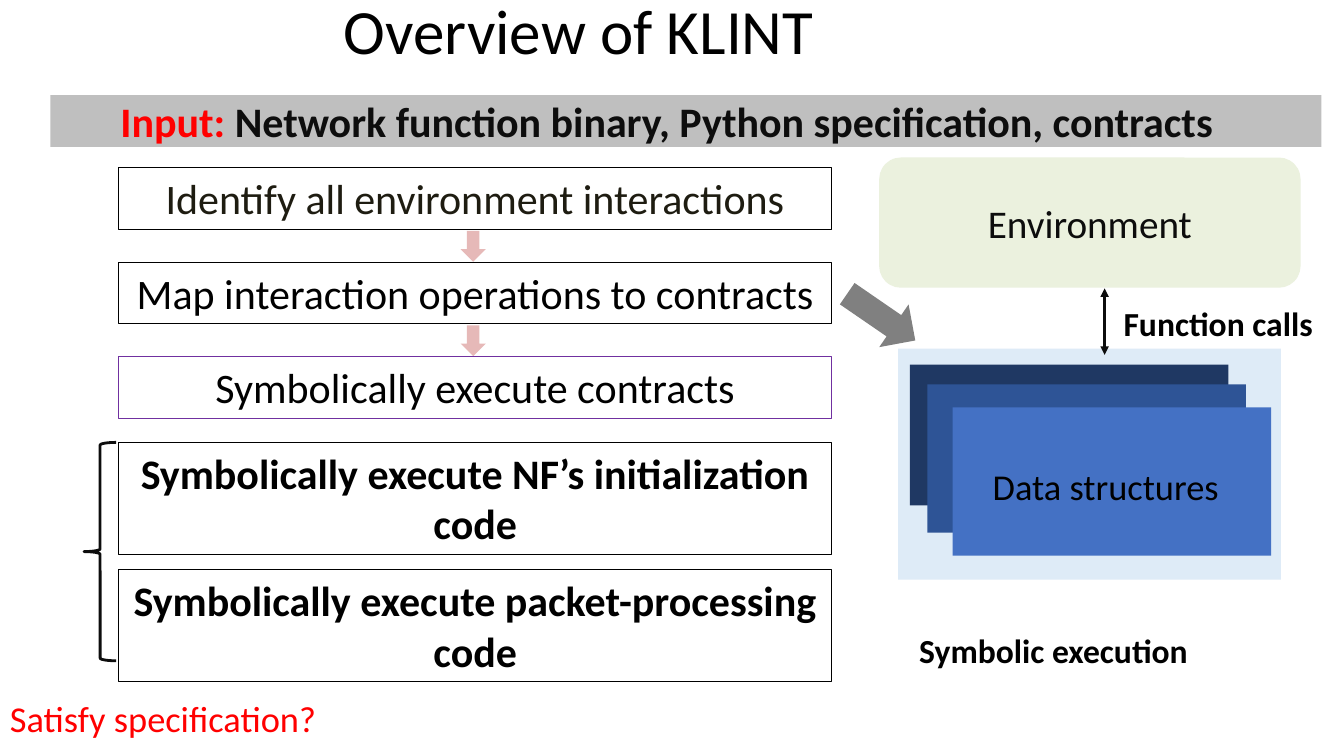
from pptx import Presentation
from pptx.dml.color import RGBColor
from pptx.enum.shapes import MSO_CONNECTOR as Connector, MSO_SHAPE as Shape
from pptx.enum.text import MSO_ANCHOR as Anchor, PP_ALIGN as Align
from pptx.oxml.ns import qn
from pptx.util import Pt
from lxml.etree import SubElement

BLACK, INK, RED = "000000", "0D0D0D", "FF0000"


def color(hex_code):
    return RGBColor.from_string(hex_code)


class SlideBuilder:
    """Holds the text style and the current slide; lengths are points."""
    font = "Calibri"

    def __init__(self, slide):
        self.shapes = slide.shapes

    def label(self, item, spans, size, bold=False, align=Align.LEFT,
              anchor=Anchor.TOP, inset=None):
        frame = item.text_frame
        frame.word_wrap = True
        frame.vertical_anchor = anchor
        if inset is not None:
            frame.margin_left = Pt(inset)
            frame.margin_right = frame.margin_top = frame.margin_bottom = 0
        para = frame.paragraphs[0]
        para.alignment = align
        para.font.name, para.font.size, para.font.bold = self.font, Pt(size), bold
        for text, hex_code in spans:
            span = para.add_run()
            span.text = text
            span.font.color.rgb = color(hex_code)

    def text(self, at, text, size, hex_code=BLACK, **style):
        box = self.shapes.add_textbox(*map(Pt, at))
        self.label(box, [(text, hex_code)], size, **style)

    def shape(self, kind, at, fill=None, line=None, weight=0.75):
        item = self.shapes.add_shape(kind, *map(Pt, at))
        item.shadow.inherit = False
        if fill:
            item.fill.solid()
            item.fill.fore_color.rgb = color(fill)
        else:
            item.fill.background()
        if line:
            item.line.color.rgb = color(line)
            item.line.width = Pt(weight)
        else:
            item.line.fill.background()
        return item

    def double_arrow(self, x, top, bottom, hex_code, weight):
        link = self.shapes.add_connector(Connector.STRAIGHT, Pt(x), Pt(top), Pt(x), Pt(bottom))
        link.line.color.rgb = color(hex_code)
        link.line.width = Pt(weight)
        properties = link._element.spPr
        outline = properties.find(qn("a:ln"))
        for end in ("a:headEnd", "a:tailEnd"):
            SubElement(outline, qn(end), type="triangle")
        SubElement(properties, qn("a:effectLst"))


deck = Presentation()
deck.slide_width, deck.slide_height = Pt(960), Pt(540)
page = SlideBuilder(deck.slides.add_slide(deck.slide_layouts[6]))

# Title and input bar
page.text((245.5, -6, 469, 73), "Overview of KLINT", 45, inset=0)
input_bar = page.shape(Shape.RECTANGLE, (36, 68, 908, 37), "BFBFBF")
page.label(input_bar, [
    ("Input: ", RED),
    ("Network function binary, Python specification, contracts", INK),
], 30, bold=True, inset=50)

# Data structures: panel with a stack of cards
for at, fill in [
    ((641.5, 249, 273.5, 165), "DEEBF7"),
    ((650, 260.5, 227.5, 100.5), "1F3863"),
    ((662.5, 274.5, 227.5, 106), "2E5496"),
    ((680.5, 291, 227.5, 106), "4471C4"),
]:
    page.shape(Shape.RECTANGLE, at, fill)
page.text((702, 328, 180, 37), "Data structures", 26)

# Environment and its calls
environment = page.shape(Shape.ROUNDED_RECTANGLE, (628, 112.5, 301, 93), "EBF1DE")
page.label(environment, [("Environment", INK)], 28, align=Align.CENTER, anchor=Anchor.MIDDLE)
page.double_arrow(789, 206, 253.5, INK, 2)
page.text((795.5, 212.5, 164.5, 36), "Function calls", 24, bold=True)

# Workflow steps
STEP_LEFT, STEP_WIDTH, STEP_TOP, STEP_PITCH, STEP_HEIGHT = 85, 509, 120, 67.4, 44
CODE_TOP, CODE_PITCH, CODE_HEIGHT = 316, 91, 80
steps = [
    ("Identify all environment interactions", "1E1C11", BLACK),
    ("Map interaction operations to contracts", BLACK, BLACK),
    ("Symbolically execute contracts", BLACK, "7030A0"),
]
for index, (text, ink, border) in enumerate(steps):
    top = STEP_TOP + index * STEP_PITCH
    step = page.shape(Shape.RECTANGLE, (STEP_LEFT, top, STEP_WIDTH, STEP_HEIGHT), line=border)
    page.label(step, [(text, ink)], 30, align=Align.CENTER)
    if index < len(steps) - 1:
        page.shape(Shape.DOWN_ARROW, (329, top + STEP_HEIGHT + 1, 18, 22), "E6B9B8")

# Code execution steps, joined by a brace
for index, part in enumerate(("NF’s initialization", "packet-processing")):
    top = CODE_TOP + index * CODE_PITCH
    step = page.shape(Shape.RECTANGLE, (STEP_LEFT, top, STEP_WIDTH, CODE_HEIGHT), line=BLACK)
    page.label(step, [(f"Symbolically execute {part} code", BLACK)], 30,
               bold=True, align=Align.CENTER)
page.shape(Shape.LEFT_BRACE, (60, CODE_TOP, 23, 156), line=INK, weight=2)

# Arrow from the contracts to the data structures
contract_arrow = page.shape(Shape.RIGHT_ARROW, (600, 208, 59, 37), "808080")
contract_arrow.rotation = 34.5

# Captions
page.text((0, 494, 234, 39), "Satisfy specification?", 26, RED)
page.text((649.5, 446.5, 294.5, 36), "Symbolic execution", 24, bold=True)

deck.save("out.pptx")
